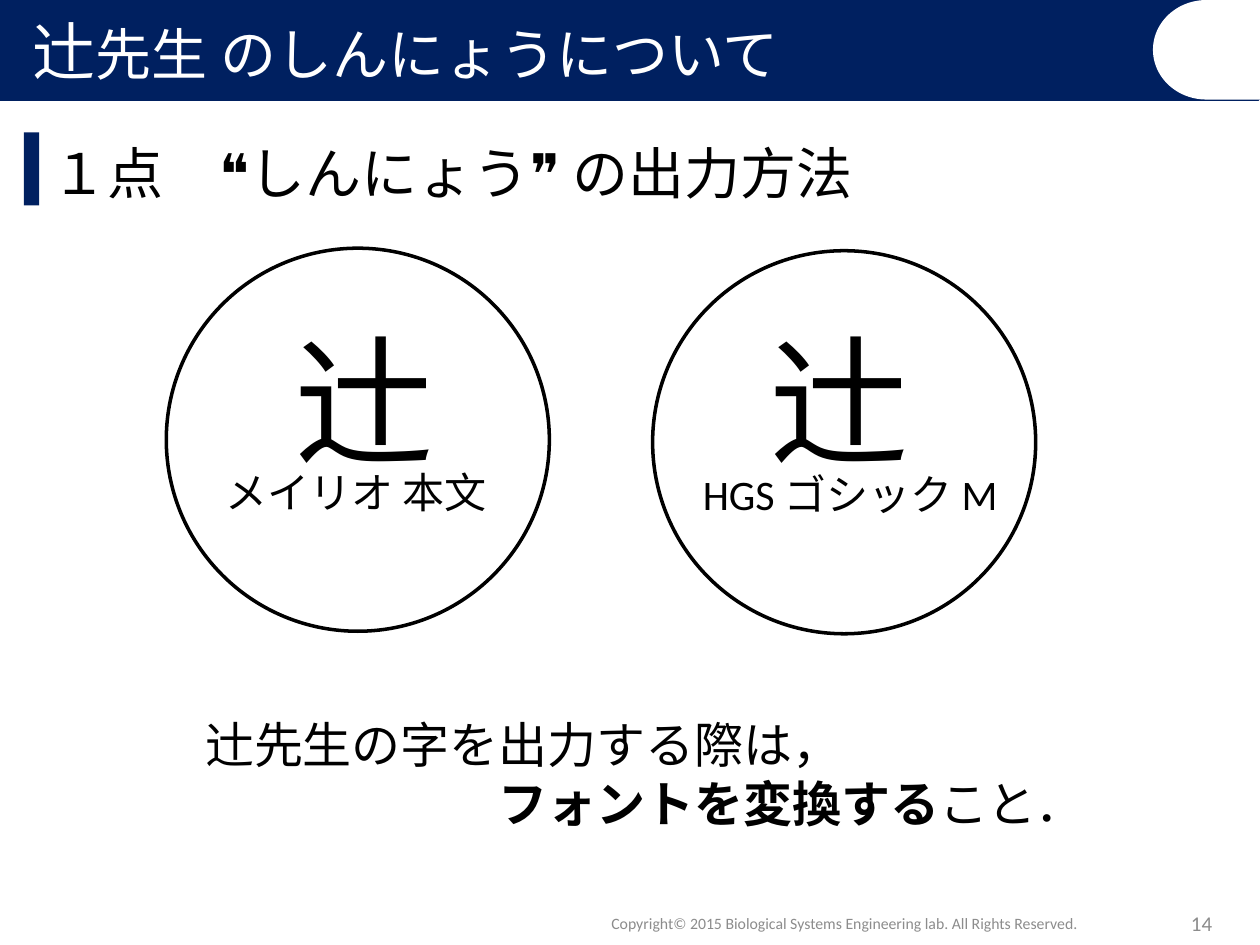
from dataclasses import dataclass

from pptx import Presentation
from pptx.dml.color import RGBColor
from pptx.enum.shapes import MSO_SHAPE as Preset
from pptx.enum.text import MSO_ANCHOR as Anchor, MSO_AUTO_SIZE as AutoSize, PP_ALIGN as Align
from pptx.oxml.ns import qn
from pptx.util import Pt

PX = 9144  # 100 px to the inch
COLORS = {"navy": "002060", "white": "FFFFFF", "black": "000000", "gray": "8C8C8C"}
CJK, LATIN = "Noto Sans CJK JP", "Calibri"
TITLE_ONLY_LAYOUT = 5


@dataclass(frozen=True)
class Box:
    left: int
    top: int
    width: int
    height: int

    def emu(self) -> tuple[int, ...]:
        return tuple(v * PX for v in (self.left, self.top, self.width, self.height))


@dataclass(frozen=True)
class Run:
    text: str
    size: int
    font: str = CJK
    color: str = "black"
    bold: bool = False


@dataclass(frozen=True)
class Line:
    runs: list[Run]
    align: Align = Align.LEFT
    spacing: float = 1.0
    indent: int = 0


@dataclass(frozen=True)
class Sample:
    """A circle showing the character in one font, with the font's name."""
    circle: Box
    character: Box
    font: str
    label_box: Box
    label: str


SAMPLES = [
    Sample(Box(518, 199, 304, 304), Box(601, 178, 118, 212), CJK,
           Box(548, 367, 256, 50), "HGS ゴシック M"),
    Sample(Box(132, 197, 304, 304), Box(224, 178, 118, 212), "Arial",
           Box(169, 365, 230, 50), "メイリオ 本文"),
]


def color(name: str) -> RGBColor:
    return RGBColor.from_string(COLORS[name])


def add_preset(slide, preset: Preset, box: Box, fill: str = "", line: str = ""):
    shape = slide.shapes.add_shape(preset, *box.emu())
    shape.shadow.inherit = False
    if fill:
        shape.fill.solid()
        shape.fill.fore_color.rgb = color(fill)
    else:
        shape.fill.background()
    if line:
        shape.line.color.rgb = color(line)
        shape.line.width = Pt(2)
    else:
        shape.line.fill.background()
    return shape


def write_lines(shape, lines: list[Line], anchor: Anchor = Anchor.TOP) -> None:
    frame = shape.text_frame
    settings = {"word_wrap": True, "auto_size": AutoSize.NONE, "vertical_anchor": anchor}
    for name, value in settings.items():
        setattr(frame, name, value)
    for index, line in enumerate(lines):
        paragraph = frame.add_paragraph() if index else frame.paragraphs[0]
        paragraph.alignment = line.align
        paragraph.line_spacing = line.spacing
        if line.indent:
            paragraph._p.get_or_add_pPr().set("marL", str(line.indent * PX))
        for part in line.runs:
            run = paragraph.add_run()
            run.text = part.text
            values = {"size": Pt(part.size), "name": part.font, "bold": part.bold}
            for name, value in values.items():
                setattr(run.font, name, value)
            run.font.color.rgb = color(part.color)
            east_asian = run._r.rPr.makeelement(qn("a:ea"), {"typeface": CJK})
            run._r.rPr.find(qn("a:latin")).addnext(east_asian)


def add_text(slide, box: Box, *lines: Line, anchor: Anchor = Anchor.TOP) -> None:
    write_lines(slide.shapes.add_textbox(*box.emu()), list(lines), anchor)


def add_header(slide) -> None:
    add_preset(slide, Preset.RECTANGLE, Box(0, 0, 999, 79), "navy", "navy")
    corner = add_preset(slide, Preset.FLOWCHART_DELAY, Box(915, 0, 85, 79), "white")
    corner.rotation = 180  # round side to the left

    title = slide.shapes.title
    title.left, title.top, title.width, title.height = Box(16, 5, 783, 71).emu()
    write_lines(title, [Line([Run("辻", 36, color="white"),
                              Run("先生 のしんにょうについて", 32, color="white")])])
    title._element.getparent().append(title._element)  # bring in front of the bar


def add_sample(slide, sample: Sample) -> None:
    add_text(slide, sample.character, Line([Run("辻", 80, sample.font)], spacing=1.5))
    add_text(slide, sample.label_box, Line([Run(sample.label, 24, LATIN)]))
    add_preset(slide, Preset.OVAL, sample.circle, line="black")


def add_footer(slide) -> None:
    add_text(slide, Box(739, 713, 233, 40),
             Line([Run("14", 12, LATIN, "gray")], Align.RIGHT), anchor=Anchor.MIDDLE)
    notice = "Copyright© 2015 Biological Systems Engineering lab. All Rights Reserved."
    add_text(slide, Box(374, 713, 592, 40),
             Line([Run(notice, 9, LATIN, "gray")], Align.CENTER), anchor=Anchor.MIDDLE)


def main() -> None:
    presentation = Presentation()
    presentation.slide_width, presentation.slide_height = 1000 * PX, 750 * PX
    slide = presentation.slides.add_slide(presentation.slide_layouts[TITLE_ONLY_LAYOUT])

    add_header(slide)
    add_preset(slide, Preset.RECTANGLE, Box(19, 105, 12, 58), "navy")
    add_text(slide, Box(31, 105, 681, 64), Line([Run("１点　❝しんにょう❞ の出力方法", 32)]))
    add_footer(slide)
    add_text(slide, Box(153, 562, 737, 104),
             Line([Run("辻", 28), Run("先生の字を出力する際は，", 28, LATIN)]),
             Line([Run("フォントを変換する", 28, LATIN, bold=True),
                   Run("こと．", 28, LATIN)], indent=233))
    for sample in SAMPLES:
        add_sample(slide, sample)
    presentation.save("out.pptx")


if __name__ == "__main__":
    main()
